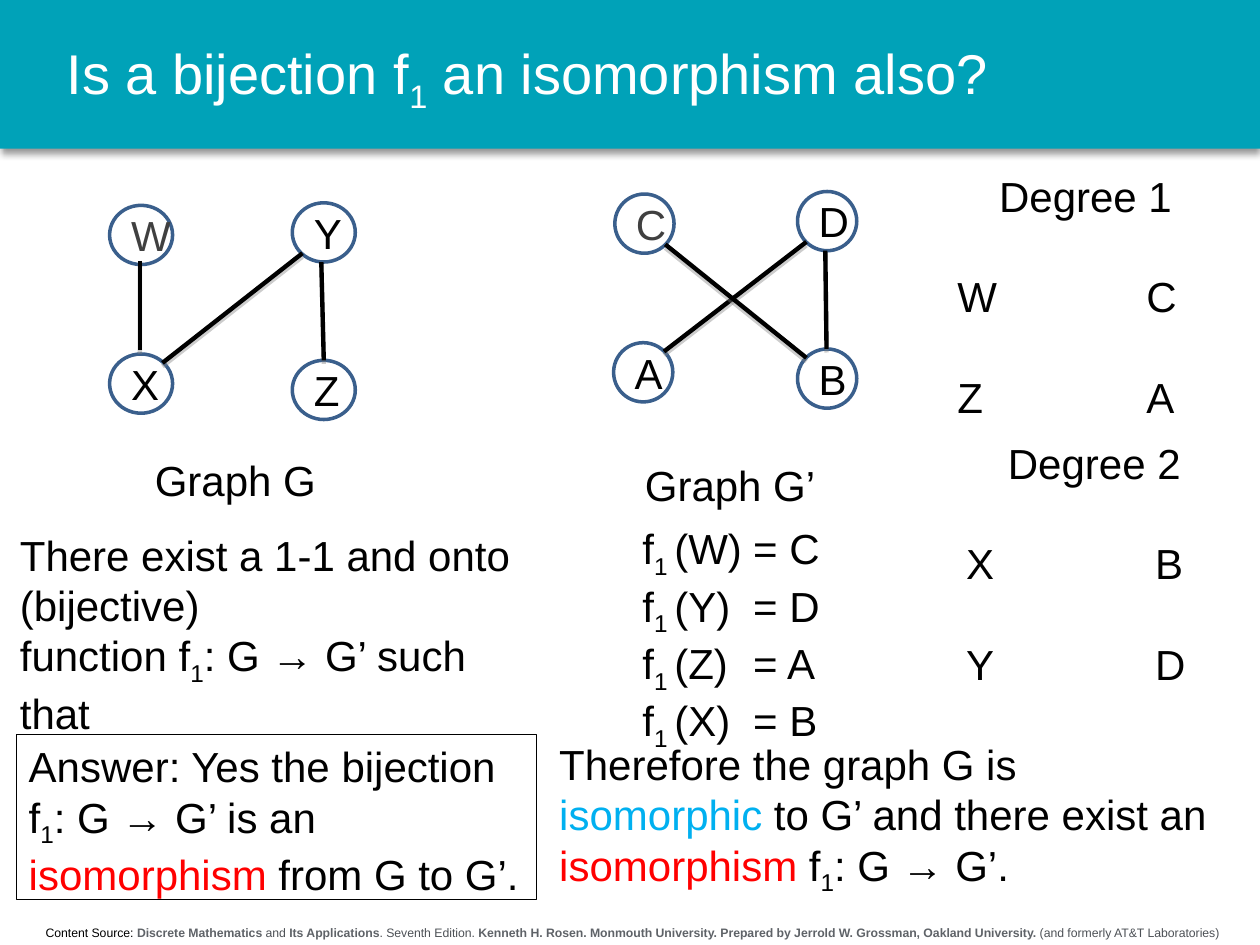
from lxml import etree
from pptx import Presentation
from pptx.dml.color import RGBColor
from pptx.enum.shapes import MSO_CONNECTOR, MSO_SHAPE
from pptx.enum.text import MSO_ANCHOR, PP_ALIGN
from pptx.oxml.ns import qn
from pptx.util import Inches, Pt

ELLIPSE, RECTANGLE = MSO_SHAPE.OVAL, MSO_SHAPE.RECTANGLE
STRAIGHT = MSO_CONNECTOR.STRAIGHT
LEFT, CENTER = PP_ALIGN.LEFT, PP_ALIGN.CENTER
TOP, MIDDLE = MSO_ANCHOR.TOP, MSO_ANCHOR.MIDDLE

COLUMNS, ROWS = 100, 75
CELL = Inches(0.1)
FONT = "Arial"
BLACK, WHITE, TEAL, NAVY = "000000", "FFFFFF", "00A2B8", "3A5F8C"
RED, SKY, CHARCOAL = "FF0000", "00B0F0", "404040"
CREDIT_BOLD, CREDIT_PLAIN = "5F6368", "4D5156"
BODY_SIZE = 24
ONE = ("1", {"sub": True})
ONE_SPACED = ("1 ", {"sub": True})


def rgb(hex_color):
    return RGBColor.from_string(hex_color)


def grid(*cells):
    return [round(cell * CELL) for cell in cells]


def cast_shadow(shape, color, blur, distance):
    properties = shape._element.spPr
    for old in properties.findall(qn("a:effectLst")):
        properties.remove(old)
    effects = etree.SubElement(properties, qn("a:effectLst"))
    shadow = etree.SubElement(effects, qn("a:outerShdw"), blurRad=str(Pt(blur)),
                              dist=str(Pt(distance)), dir="5400000", rotWithShape="0")
    tint = etree.SubElement(shadow, qn("a:srgbClr"), val=color)
    etree.SubElement(tint, qn("a:alpha"), val="40000")


def add_tab_stop(paragraph, column):
    stops = etree.SubElement(paragraph._p.get_or_add_pPr(), qn("a:tabLst"))
    etree.SubElement(stops, qn("a:tab"), pos=str(grid(column)[0]), algn="l")


def write_run(paragraph, content, size, color=BLACK, bold=False, sub=False):
    run = paragraph.add_run()
    run.text = content
    run.font.name = FONT
    run.font.size = Pt(size)
    run.font.bold = bold
    run.font.color.rgb = rgb(color)
    if sub:
        run._r.get_or_add_rPr().set("baseline", "-25000")


def write(shape, paragraphs, size=BODY_SIZE, color=BLACK, align=LEFT, anchor=TOP,
          tab=None, gap=0):
    frame = shape.text_frame
    frame.word_wrap = True
    frame.vertical_anchor = anchor
    for index, pieces in enumerate(paragraphs):
        paragraph = frame.add_paragraph() if index else frame.paragraphs[0]
        paragraph.alignment = align
        if index and gap:
            paragraph.space_before = Pt(gap)
        if tab:
            add_tab_stop(paragraph, tab)
        for piece in pieces:
            content, style = (piece, {}) if isinstance(piece, str) else piece
            write_run(paragraph, content, size, **{"color": color, **style})
    return shape.text_frame


def add_text(slide, place, paragraphs, **layout):
    return write(slide.shapes.add_textbox(*grid(*place)), paragraphs, **layout)


def add_figure(slide, kind, place, fill=None, line=None, width=0):
    figure = slide.shapes.add_shape(kind, *grid(*place))
    figure.shadow.inherit = False
    if fill:
        figure.fill.solid()
        figure.fill.fore_color.rgb = rgb(fill)
    else:
        figure.fill.background()
    if line:
        figure.line.color.rgb = rgb(line)
        figure.line.width = Pt(width)
    else:
        figure.line.fill.background()
    return figure


def add_edge(slide, ends):
    edge = slide.shapes.add_connector(STRAIGHT, *grid(*ends))
    edge.line.color.rgb = rgb(BLACK)
    edge.line.width = Pt(2.5)
    cast_shadow(edge, "808080", 0, 2)


def add_graph(slide, vertices, vertex_width, edges):
    for label, left, top, color in vertices:
        vertex = add_figure(slide, ELLIPSE, (left, top, vertex_width, 4.7), WHITE, NAVY, 2)
        write(vertex, [[label]], color=color, align=CENTER, anchor=MIDDLE)
    for ends in edges:
        add_edge(slide, ends)


def add_degree_list(slide, left, top, degree, pairs):
    rows = [[f"Degree {degree}"]] + [[f"{source}\t{target}"] for source, target in pairs]
    frame = add_text(slide, (left, top, 22.3, 21.2), rows, tab=15, gap=28.8)
    frame.paragraphs[0].alignment = CENTER


def add_header(slide):
    band = add_figure(slide, RECTANGLE, (0, 0, COLUMNS, 11.8), TEAL)
    cast_shadow(band, BLACK, 4, 3)
    title = add_text(slide, (4.3, 0, 93, 11.8),
                     [["Is a bijection f", ONE, " an isomorphism also?"]],
                     size=32, color=WHITE, anchor=MIDDLE)
    title.paragraphs[0].line_spacing = 0.9


def add_credit(slide):
    strong = {"color": CREDIT_BOLD, "bold": True}
    add_text(slide, (0.4, 72.9, 99.6, 2.2), [[
        ("Content Source: ", {"color": BLACK}),
        ("Discrete Mathematics", strong),
        " and ",
        ("Its Applications", strong),
        ". Seventh Edition. ",
        ("Kenneth H. Rosen. Monmouth University. Prepared by "
         "Jerrold W. Grossman, Oakland University.", strong),
        " (and formerly AT&T Laboratories)",
    ]], size=7, color=CREDIT_PLAIN, align=CENTER)


def add_conclusions(slide):
    add_text(slide, (0.6, 41.5, 43.4, 17.2), [
        ["There exist a 1-1 and onto (bijective)"],
        ["function f", ONE, ": G → G’ such that"],
    ])
    answer = add_figure(slide, RECTANGLE, (1.3, 58.3, 41.3, 13.1), line=BLACK, width=0.75)
    write(answer, [
        ["Answer: Yes the bijection f", ONE, ": G → G’ is an"],
        [("isomorphism ", {"color": RED}), "from G to G’."],
    ])
    add_text(slide, (43.4, 58.1, 54.7, 13.1), [[
        "Therefore the graph G is ", ("isomorphic", {"color": SKY}),
        " to G’ and there exist an ", ("isomorphism", {"color": RED}),
        " f", ONE, ": G → G’.",
    ]])


def main():
    deck = Presentation()
    deck.slide_width, deck.slide_height = grid(COLUMNS, ROWS)
    slide = deck.slides.add_slide(deck.slide_layouts[6])

    add_header(slide)
    add_credit(slide)
    add_graph(slide,
              [("Y", 23.2, 16.1, BLACK), ("W", 8.7, 16.3, CHARCOAL),
               ("X", 8.7, 28.1, BLACK), ("Z", 23.2, 28.6, BLACK)], 5,
              [(12.9, 28.8, 24, 20.1), (25.5, 20.8, 25.7, 28.6),
               (11.1, 20.7, 11.1, 27.8)])
    add_graph(slide,
              [("D", 63.3, 15.2, BLACK), ("C", 48.8, 15.4, CHARCOAL),
               ("A", 48.7, 27.2, BLACK), ("B", 63.3, 27.7, BLACK)], 4.7,
              [(52.7, 27.9, 64, 19.2), (65.5, 19.9, 65.6, 27.7),
               (52.8, 19.4, 64, 28.4)])
    add_text(slide, (11.3, 35.6, 16.9, 5), [["Graph G"]])
    add_text(slide, (50.2, 36, 15.6, 5), [["Graph G’"]])

    mapping = {"W": "C", "Y": "D", "Z": "A", "X": "B"}
    add_text(slide, (50, 41, 16.3, 17.2),
             [["f", ONE_SPACED, f"({source})\t= {target}"]
              for source, target in mapping.items()], tab=8.8)
    for left, top, degree, sources in ((75, 13, 1, "WZ"), (75.7, 34.2, 2, "XY")):
        add_degree_list(slide, left, top, degree,
                        [(source, mapping[source]) for source in sources])
    add_conclusions(slide)
    deck.save("out.pptx")


if __name__ == "__main__":
    main()
